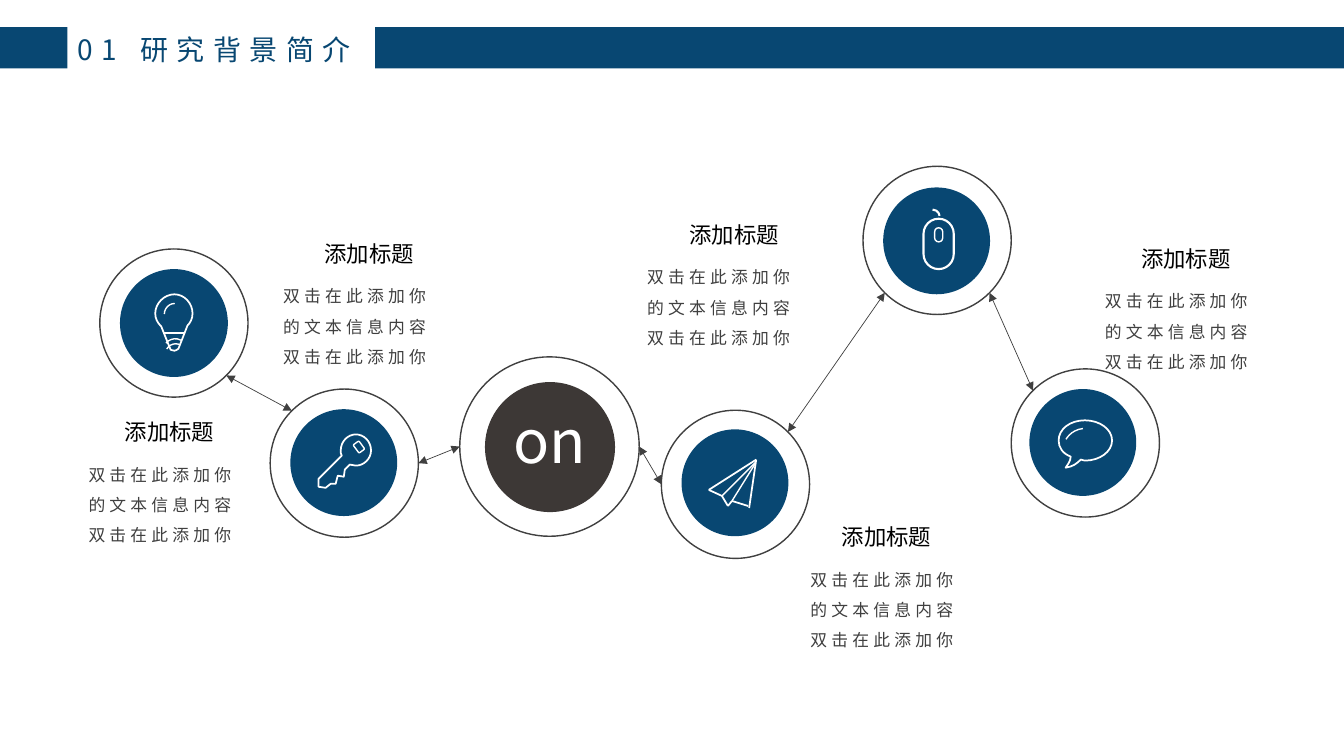
"""Build the research background slide: five icon nodes linked around a hub."""
import math
from lxml import etree
from pptx import Presentation, util as u
from pptx.dml import color
from pptx.enum import shapes, text
from pptx.oxml import ns

KIND = shapes.MSO_SHAPE
ALIGN = text.PP_ALIGN
BULB = [(1.73, 2.92), (1.83, 2.92, 1.91, 3.01, 1.91, 3.11),
        (1.91, 3.16, 1.89, 3.2, 1.86, 3.23), (1.77, 3.46),
        (1.76, 3.47, 1.74, 3.48, 1.73, 3.48),
        (1.7, 3.48, 1.68, 3.47, 1.68, 3.44), (1.6, 3.24),
        (1.56, 3.2, 1.54, 3.16, 1.54, 3.11),
        (1.54, 3.01, 1.63, 2.92, 1.73, 2.92)]
CHAT = [(10.76, 4.17), (10.91, 4.17, 11.03, 4.26, 11.03, 4.37),
        (11.03, 4.48, 10.91, 4.57, 10.76, 4.57), (10.72, 4.56),
        (10.68, 4.6, 10.64, 4.63, 10.57, 4.64),
        (10.58, 4.62, 10.62, 4.58, 10.62, 4.53),
        (10.54, 4.5, 10.5, 4.44, 10.5, 4.37),
        (10.5, 4.26, 10.61, 4.17, 10.76, 4.17)]
KEY = [(3.53, 4.31), (3.61, 4.31, 3.68, 4.38, 3.68, 4.47),
       (3.68, 4.55, 3.61, 4.62, 3.53, 4.62), (3.47, 4.61), (3.42, 4.66),
       (3.41, 4.73), (3.35, 4.72), (3.33, 4.8), (3.28, 4.8), (3.23, 4.84),
       (3.16, 4.83), (3.16, 4.75), (3.39, 4.52),
       (3.38, 4.51, 3.38, 4.49, 3.38, 4.47),
       (3.38, 4.38, 3.45, 4.31, 3.53, 4.31)]
TIP, NOSE, FOLD, TAIL, NOTCH = (7.5, 4.56), (7.03, 4.86), (7.16, 4.92), (7.22, 5.02), (7.26, 4.97)
PLANE = [(TIP, NOSE, 1.25), (NOSE, FOLD, 1.25), (FOLD, TAIL, 1.25),
         (TAIL, NOTCH, 1.25), (NOTCH, (7.42, 5.02), 1.25),
         (TIP, (7.43, 5.04), 1.25), ((7.49, 4.59), FOLD, 1), ((7.49, 4.6), NOTCH, 1)]
RINGS = {"bulb": (0.99, 2.47, 1.47), "chat": (10.03, 3.66, 1.47),
         "plane": (6.56, 4.07, 1.47), "key": (2.68, 3.86, 1.47),
         "mouse": (8.56, 1.65, 1.47), "hub": (4.56, 3.54, 1.78)}
DISCS = {"bulb": (1.19, 2.67, 1.07), "chat": (10.21, 3.86, 1.06),
         "plane": (6.76, 4.26, 1.06), "key": (2.88, 4.06, 1.06),
         "mouse": (8.76, 1.86, 1.06), "hub": (4.81, 3.79, 1.29)}
LINKS = [("bulb", 45, "key", 225), ("key", 0, "hub", 180),
         ("hub", 0, "plane", 180), ("plane", 315, "mouse", 135),
         ("mouse", 45, "chat", 225)]
NOTES = [(0.78, 1.14, 4.1), (2.71, 3.12, 2.33), (7.94, 8.25, 5.14),
         (6.32, 6.74, 2.14), (10.86, 11.22, 2.38)]


def inch(num):
    return u.Cm(num * 2.54)


def hue(code):
    return color.RGBColor.from_string(code)


def rim(name, angle):
    left, top, size = RINGS[name]
    turn, half = math.radians(angle), size / 2
    return left + half + half * math.cos(turn), top + half + half * math.sin(turn)


class Deck:
    """Holds the style and the current slide."""
    font, blue, gray, white = "Noto Sans CJK SC", "084772", "404040", "FFFFFF"

    def __init__(self):
        self.file = Presentation()
        self.put(self.file, slide_width=inch(13.33), slide_height=inch(7.5))
        self.items = self.file.slides.add_slide(self.file.slide_layouts[6]).shapes

    def put(self, item, **form):
        for key, val in form.items():
            setattr(item, key, val)

    def paint(self, item, fill=None, line=None, width=1):
        item.shadow.inherit = False
        if fill:
            item.fill.solid()
            item.fill.fore_color.rgb = hue(fill)
        else:
            item.fill.background()
        if line:
            item.line.color.rgb = hue(line)
            item.line.width = u.Pt(width)
        else:
            item.line.fill.background()

    def shape(self, kind, box, turn=0, adj=(), **look):
        item = self.items.add_shape(kind, *map(inch, box))
        item.rotation = turn
        for spot, val in enumerate(adj):
            item.adjustments[spot] = val
        self.paint(item, **look)

    def arc(self, left, top, size, turn, end, width=1):
        self.shape(KIND.ARC, (left, top, size, size), turn, (162, end),
                   line=self.white, width=width)

    def pill(self, box, width=1, turn=0, adj=(0.5,)):
        self.shape(KIND.ROUNDED_RECTANGLE, box, turn, adj, line=self.white, width=width)

    def icon(self, steps):
        ends = [(inch(step[-2]), inch(step[-1])) for step in steps]
        pen = self.items.build_freeform(*ends[0])
        pen.add_line_segments(ends[1:], close=True)
        item = pen.convert_to_shape()
        self.paint(item, line=self.white, width=1.25)
        marks = list(item._element.find(".//" + ns.qn("a:path")))
        for mark, step in zip(marks, steps):
            if len(step) == 6:
                mark.tag = ns.qn("a:cubicBezTo")
                for spot in (0, 2):
                    dot = etree.Element(ns.qn("a:pt"), x=str(inch(step[spot]) - item.left),
                                        y=str(inch(step[spot + 1]) - item.top))
                    mark.insert(spot // 2, dot)

    def line(self, start, end, tint, width, arrow=False):
        item = self.items.add_connector(shapes.MSO_CONNECTOR.STRAIGHT, *map(inch, (*start, *end)))
        item.line.color.rgb = hue(tint)
        item.line.width = u.Pt(width)
        if arrow:
            for tag in ("a:headEnd", "a:tailEnd"):
                etree.SubElement(item.line._get_or_add_ln(), ns.qn(tag), type="triangle")
        etree.SubElement(item._element.spPr, ns.qn("a:effectLst"))

    def words(self, box, copy, size, tint, gap=0, wrap=True, **form):
        frame = self.items.add_textbox(*map(inch, box)).text_frame
        self.put(frame, word_wrap=wrap, auto_size=text.MSO_AUTO_SIZE.SHAPE_TO_FIT_TEXT)
        para = frame.paragraphs[0]
        self.put(para, alignment=ALIGN.LEFT, **form)
        run = para.add_run()
        run.text = copy
        self.put(run.font, name=self.font, size=u.Pt(size))
        run.font.color.rgb = hue(tint)
        props = run._r.get_or_add_rPr()
        etree.SubElement(props, ns.qn("a:ea"), typeface=self.font)
        if gap:
            props.set("spc", str(gap * 100))

    def disc(self, spot, **look):
        left, top, size = spot
        self.shape(KIND.OVAL, (left, top, size, size), **look)

    def note(self, left, head, top):
        self.words((head, top, 1.1, 0.37), "添加标题", 16, "000000", wrap=False)
        self.words((left, top + 0.36, 1.83, 0.97),
                   "双击在此添加你的文本信息内容双击在此添加你", 12, self.gray, 3,
                   line_spacing=1.5)


def main():
    deck = Deck()
    for name, ring in RINGS.items():
        deck.disc(DISCS[name], fill="3D3836" if name == "hub" else deck.blue)
        deck.disc(ring, line=deck.gray)
    deck.words((4.99, 3.96, 1.21, 0.82), "on", 42.7, deck.white)

    for steps in (BULB, CHAT, KEY):
        deck.icon(steps)
    deck.line((1.62, 3.3), (1.83, 3.3), deck.white, 1.25)
    for curve in ((1.63, 3.01, 0.21, 270, 215.5), (1.62, 3.36, 0.24, 309, 210.6),
                  (1.64, 3.41, 0.21, 300, 210.13), (10.54, 4.25, 0.45, 301.2, 193.58),
                  (9.18, 2.08, 0.14, 0, 212.1, 1.5)):
        deck.arc(*curve)
    for start, end, width in PLANE:
        deck.line(start, end, deck.white, width)
    deck.pill((3.51, 4.4, 0.1, 0.07), turn=53.8, adj=())
    deck.pill((9.16, 2.17, 0.3, 0.5), 1.5)
    deck.pill((9.27, 2.26, 0.08, 0.14))

    for start, out, end, into in LINKS:
        deck.line(rim(start, out), rim(end, into), deck.gray, 0.5, True)
    for spot in NOTES:
        deck.note(*spot)

    for left, width in ((3.72, 9.61), (0, 0.67)):
        deck.shape(KIND.RECTANGLE, (left, 0.27, width, 0.41), fill=deck.blue)
    deck.words((0.67, 0.27, 3.05, 0.44), "01 研究背景简介", 20, deck.blue, 6, wrap=False)
    deck.file.save("out.pptx")


if __name__ == "__main__":
    main()
